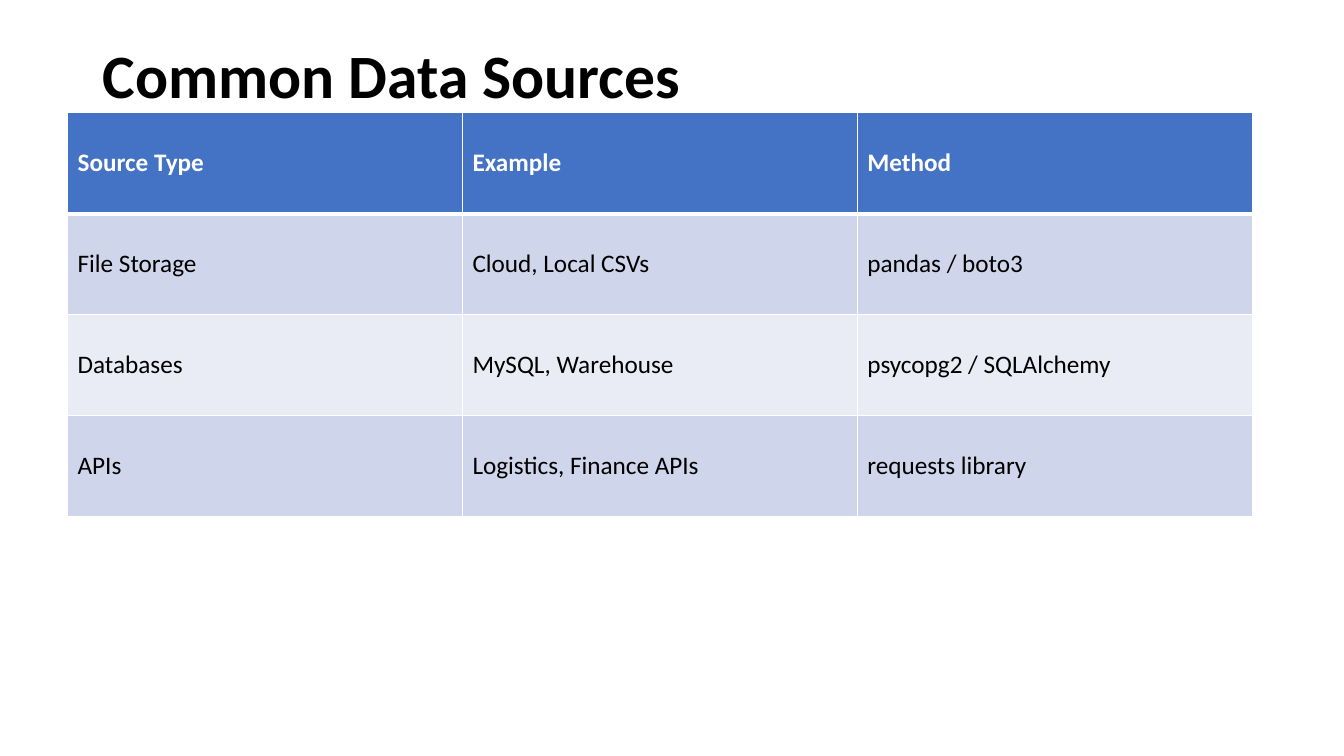
"""Build the Common Data Sources slide with its table of sources."""
import lxml.etree
import pptx
import pptx.dml.color
import pptx.enum.text
import pptx.oxml.ns
import pptx.util

Inches = pptx.util.Inches
Pt = pptx.util.Pt
qn = pptx.oxml.ns.qn


def color(value):
    return pptx.dml.color.RGBColor.from_string(value)


def add_border(cell, side, position, width):
    line = lxml.etree.Element(qn(f"a:ln{side}"), w=str(Pt(width)))
    fill = lxml.etree.SubElement(line, qn("a:solidFill"))
    lxml.etree.SubElement(fill, qn("a:srgbClr"), val="FFFFFF")
    cell._tc.get_or_add_tcPr().insert(position, line)


presentation = pptx.Presentation()
presentation.slide_width = Inches(13.33)
presentation.slide_height = Inches(7.5)
slide = presentation.slides.add_slide(presentation.slide_layouts[5])

title = slide.shapes.title
title.left, title.top = Inches(0.92), Inches(0.4)
title.width, title.height = Inches(11.5), Inches(1.45)
title.text_frame.text = "Common Data Sources"
title.text_frame.vertical_anchor = pptx.enum.text.MSO_ANCHOR.TOP
title.text_frame.auto_size = pptx.enum.text.MSO_AUTO_SIZE.NONE
paragraph = title.text_frame.paragraphs[0]
paragraph.alignment = pptx.enum.text.PP_ALIGN.LEFT
paragraph.line_spacing = 0.9
font = paragraph.runs[0].font
font.name, font.size, font.bold = "Calibri", Pt(44), True
font.color.rgb = color("000000")

rows = [
    ("Source Type", "Example", "Method"),
    ("File Storage", "Cloud, Local CSVs", "pandas / boto3"),
    ("Databases", "MySQL, Warehouse", "psycopg2 / SQLAlchemy"),
    ("APIs", "Logistics, Finance APIs", "requests library"),
]
row_fills = ["4472C4", "CFD5EA", "E9EBF5", "CFD5EA"]

table = slide.shapes.add_table(
    len(rows), len(rows[0]), Inches(0.67), Inches(1.12), Inches(11.75), Inches(4)
).table
for row_index, (texts, row_fill) in enumerate(zip(rows, row_fills)):
    is_header = row_index == 0
    for column_index, text in enumerate(texts):
        cell = table.cell(row_index, column_index)
        cell.text_frame.text = text
        cell.vertical_anchor = pptx.enum.text.MSO_ANCHOR.MIDDLE
        cell.fill.solid()
        cell.fill.fore_color.rgb = color(row_fill)
        widths = {"L": 1, "R": 1, "T": 3 if row_index == 1 else 1, "B": 3 if is_header else 1}
        for position, (side, width) in enumerate(widths.items()):
            add_border(cell, side, position, width)
        font = cell.text_frame.paragraphs[0].runs[0].font
        font.name, font.size, font.bold = "Calibri", Pt(18), is_header
        font.color.rgb = color("FFFFFF" if is_header else "000000")

presentation.save("out.pptx")
